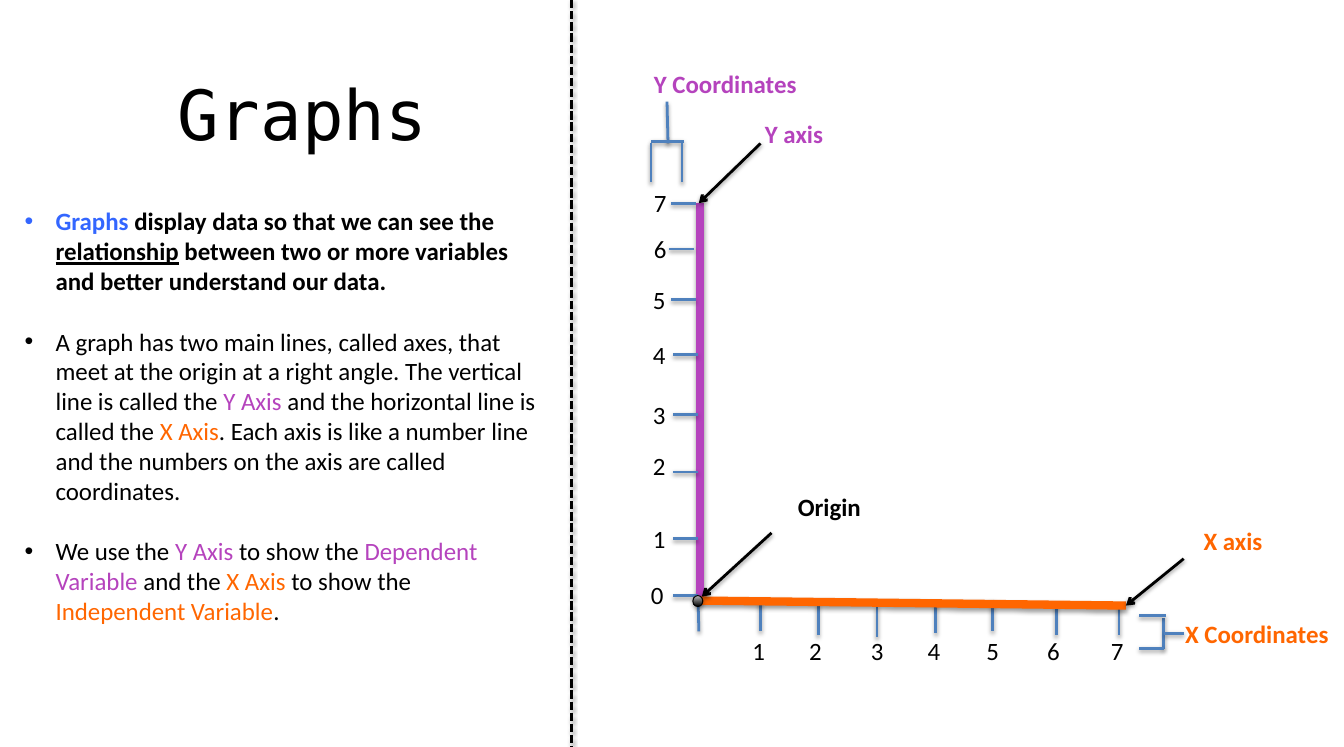
"""Builds the slide that explains the parts of a graph."""
from dataclasses import dataclass

from lxml import etree
from pptx import Presentation
from pptx import util as u
from pptx.dml.color import RGBColor
from pptx.enum import dml, shapes, text
from pptx.oxml import ns


@dataclass(frozen=True)
class Theme:
    """Colours, fonts and sizes."""
    ink: str = "000000"
    key: str = "3366FF"
    why: str = "B543BD"
    exe: str = "FF6600"
    tick: str = "4F81BD"
    pale: str = "BDBDBD"
    head: str = "DejaVu Sans Mono"
    font: str = "Calibri"
    big: int = 50
    size: int = 18
    gap: int = 22
    thin: int = 2
    thick: int = 6


T = Theme()

TITLE = "Graphs"
POINTS = [
    (True, [("Graphs ", T.key), ("display data so that we can see the ", T.ink),
            ("relationship", T.ink),
            (" between two or more variables and better understand our data.", T.ink)]),
    (False, [("A graph has two main lines, called axes, that meet at the origin at a "
              "right angle. The vertical line is called the ", T.ink), ("Y Axis ", T.why),
             ("and the horizontal line is called the ", T.ink), ("X Axis", T.exe),
             (". Each axis is like a number line and the numbers on the axis are "
              "called coordinates.", T.ink)]),
    (False, [("We use the ", T.ink), ("Y Axis ", T.why), ("to show the ", T.ink),
             ("Dependent Variable", T.why), (" and the", T.ink), (" X Axis ", T.exe),
             ("to show the ", T.ink), ("Independent Variable", T.exe), (".", T.ink)]),
]
STRESS = "relationship"
LABELS = [
    ("Y Coordinates", T.why, 6.35, 0.64, 1.87),
    ("X Coordinates", T.exe, 11.69, 6.16, 1.87),
    ("Origin", T.ink, 7.72, 4.89, 1.22),
    ("Y axis", T.why, 7.3, 1.14, 1.35),
    ("X axis", T.exe, 11.71, 5.23, 1.35),
]
AXES = [(7.03, 2.04, 7.03, 6.02, T.why), (11.31, 6.08, 7.03, 6.03, T.exe)]
ARROWS = [(7.75, 5.35, 7.05, 5.99), (7.64, 1.44, 7.02, 2.04), (11.89, 5.61, 11.31, 6.08)]
BRACKETS = [
    (6.7, 1.02, 6.71, 1.44), (6.54, 1.42, 6.87, 1.42),
    (6.54, 1.44, 6.54, 1.83), (6.85, 1.44, 6.85, 1.83),
    (11.69, 6.2, 11.69, 6.52), (11.71, 6.18, 11.44, 6.18),
    (11.69, 6.51, 11.44, 6.51), (11.89, 6.36, 11.69, 6.36),
]
Y_TICKS = [(6.76, 5.98), (6.76, 5.41), (6.76, 4.74), (6.76, 4.16),
           (6.76, 3.56), (6.74, 3.01), (6.72, 2.5), (6.74, 2.04)]
Y_NUMS = [(6.44, 5.77), (6.46, 5.21), (6.46, 4.48), (6.46, 3.96),
          (6.46, 3.36), (6.46, 2.81), (6.47, 2.3), (6.47, 1.83)]
X_TICKS = [(7.64, 6.02), (8.22, 6.06), (8.81, 6.08), (9.4, 6.04),
           (9.97, 6.02), (10.61, 6.06), (11.24, 6.06)]
X_NUMS = [7.46, 8.03, 8.65, 9.22, 9.81, 10.42, 11.06]

deck = Presentation()
deck.slide_width, deck.slide_height = u.Inches(13.5), u.Inches(7.5)
slide = deck.slides.add_slide(deck.slide_layouts[5])


def hue(code):
    return RGBColor.from_string(code)


def sub(node, tag, **attrs):
    return etree.SubElement(node, ns.qn(tag), attrs)


def shade(shape, alpha=38):
    """Adds a soft shadow below a shape."""
    effect = sub(shape._element.spPr, "a:effectLst")
    cast = sub(effect, "a:outerShdw", blurRad=str(u.Pt(3.1)), dist=str(u.Pt(1.6)),
               dir="5400000", rotWithShape="0")
    sub(sub(cast, "a:srgbClr", val=T.ink), "a:alpha", val=str(alpha * 1000))


def rule(x1, y1, x2, y2, color=T.tick, width=T.thin, arrow=False, dash=None):
    """Draws a straight line."""
    line = slide.shapes.add_connector(
        shapes.MSO_CONNECTOR.STRAIGHT, *map(u.Inches, (x1, y1, x2, y2)))
    line.line.color.rgb, line.line.width = hue(color), u.Pt(width)
    if dash:
        line.line.dash_style = dash
    if arrow:
        sub(line.line._get_or_add_ln(), "a:tailEnd", type="arrow")
    shade(line)


def style(para, color=T.ink, size=T.size, font=T.font, bold=False):
    para.font.name, para.font.size, para.font.bold = font, u.Pt(size), bold
    para.font.color.rgb = hue(color)


def place(shape, *spot):
    shape.left, shape.top, shape.width, shape.height = map(u.Inches, spot)


def label(words, x, y, wide=0.37, color=T.ink, bold=False):
    """Writes one line of text in a box."""
    box = slide.shapes.add_textbox(*map(u.Inches, (x, y, wide, 0.4)))
    box.text_frame.word_wrap = True
    para = box.text_frame.paragraphs[0]
    para.text = words
    para.alignment = text.PP_ALIGN.CENTER if bold else text.PP_ALIGN.LEFT
    style(para, color, bold=bold)


title = slide.shapes.title
place(title, 0.81, 0.66, 4.45, 0.94)
title.text_frame.text = TITLE
title.text_frame.vertical_anchor = text.MSO_ANCHOR.MIDDLE
title.text_frame.paragraphs[0].alignment = text.PP_ALIGN.CENTER
style(title.text_frame.paragraphs[0], size=T.big, font=T.head)

body = slide.shapes.add_textbox(*map(u.Inches, (0.15, 2.02, 5.35, 4.34)))
frame = body.text_frame
frame.word_wrap = True
for n, (bold, runs) in enumerate(POINTS):
    para = frame.add_paragraph() if n else frame.paragraphs[0]
    para.space_before = u.Pt(T.gap if n else 0)
    props = para._p.get_or_add_pPr()
    props.set("marL", str(u.Inches(0.31)))
    props.set("indent", str(u.Inches(-0.31)))
    sub(props, "a:buFont", typeface="Arial")
    sub(props, "a:buChar", char="•")
    style(para, bold=bold)
    for words, color in runs:
        run = para.add_run()
        run.text, run.font.color.rgb = words, hue(color)
        if words == STRESS:
            run.font.underline = True

rule(5.74, 0, 5.74, 7.5, T.ink, dash=dml.MSO_LINE.SQUARE_DOT)
rule(7.01, 5.93, 7.02, 6.34)
for x, y in X_TICKS:
    rule(x, y, x, y + 0.32)
for *ends, color in AXES:
    rule(*ends, color, T.thick)
for x, y in Y_TICKS:
    rule(x, y, x + 0.25, y)
for ends in BRACKETS:
    rule(*ends)

dot = slide.shapes.add_shape(
    shapes.MSO_SHAPE.OVAL, *map(u.Inches, (6.96, 5.98, 0.1, 0.11)))
dot.fill.gradient()
dot.fill.gradient_angle = 90
for stop, color in zip(dot.fill.gradient_stops, (T.ink, T.pale)):
    stop.color.rgb = hue(color)
dot.line.color.rgb, dot.line.width = hue(T.ink), u.Pt(0.75)
shade(dot, 35)

for ends in ARROWS:
    rule(*ends, T.ink, arrow=True)
for words, color, x, y, wide in LABELS:
    label(words, x, y, wide, color, True)
for n, (x, y) in enumerate(Y_NUMS):
    label(str(n), x, y)
for n, x in enumerate(X_NUMS, 1):
    label(str(n), x, 6.33)

deck.save("out.pptx")
